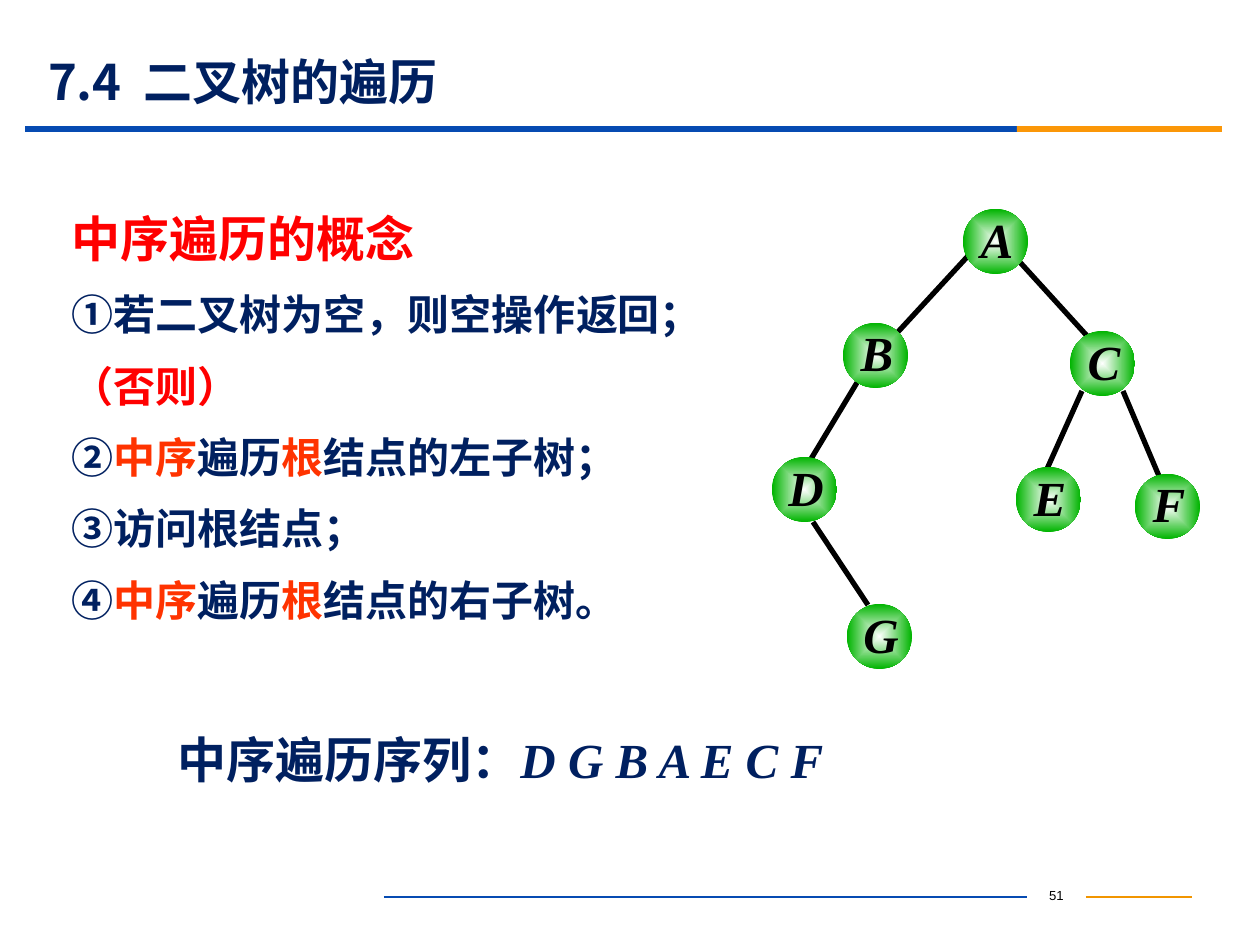
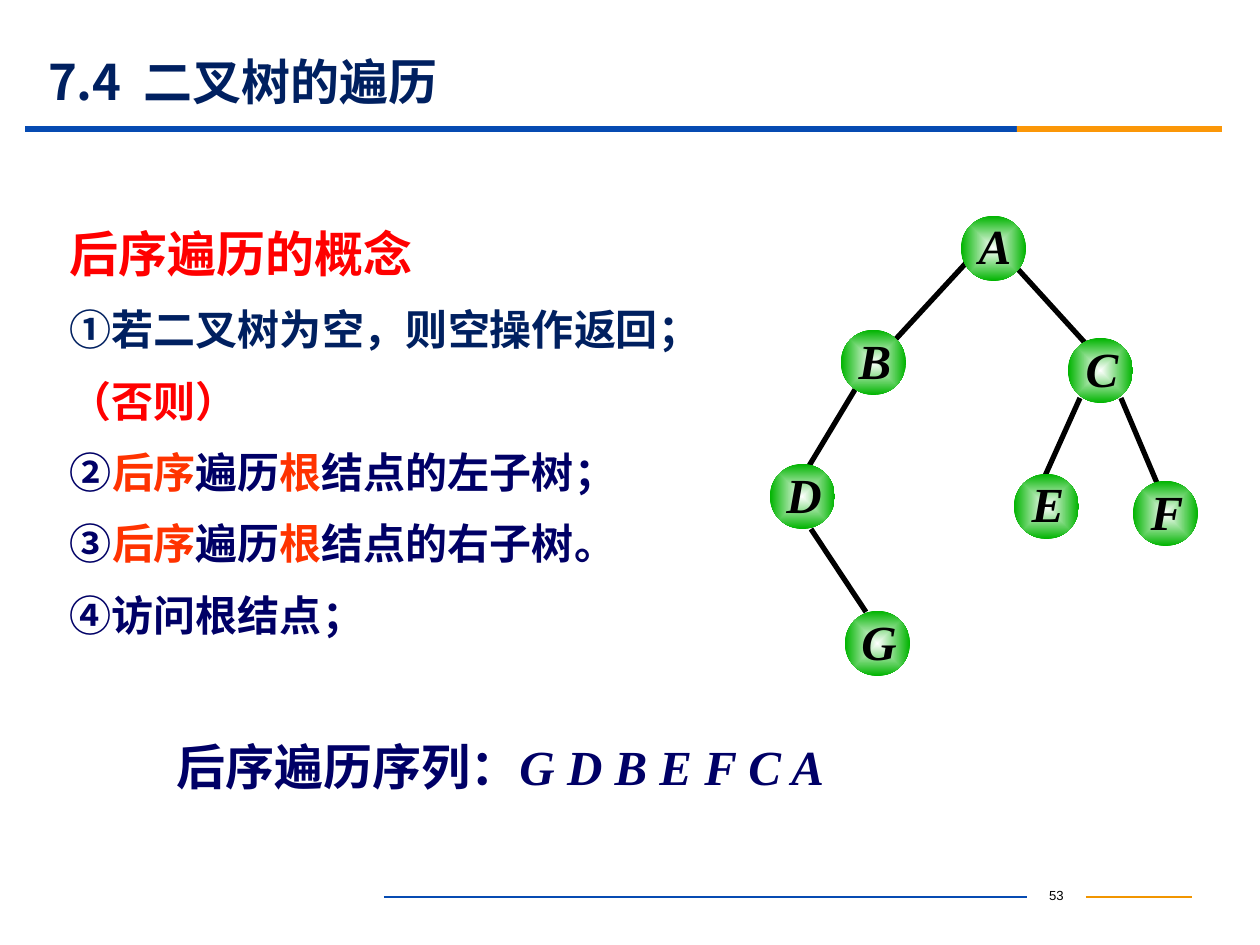
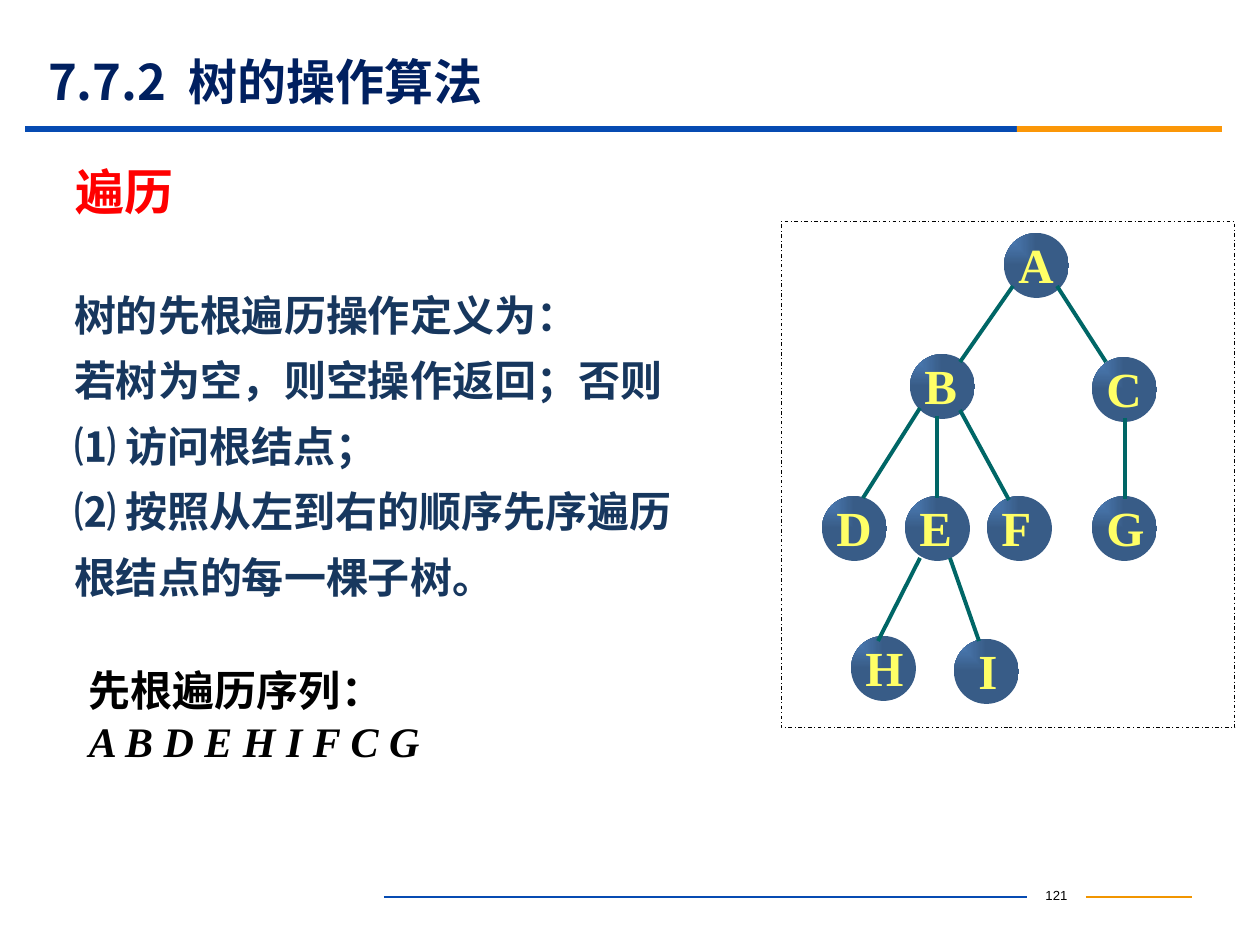
"""Build three slides on traversing binary trees and general trees."""
from pptx import Presentation
from pptx import util as u
from pptx.dml.color import RGBColor
from pptx.enum import dml, shapes, text
from pptx.oxml import parse_xml
from pptx.oxml.ns import nsdecls, qn

SCALE = 914400 / 126
COLORS = {
    "navy": "002060", "indigo": "000066", "slate": "17375E", "red": "FF0000",
    "orange": "FF3300", "black": "000000", "yellow": "FFFF66", "teal": "006666",
    "band": "064BB2", "accent": "FB9708", "footer accent": "F19500",
    "white": "FFFFFF", "green": "00B400", "steel": "4F81BD",
}
SERIF, SANS = "Times New Roman", "Noto Sans CJK SC"
NODE = 65
LEFT, JUSTIFY, CENTER = text.PP_ALIGN.LEFT, text.PP_ALIGN.JUSTIFY, text.PP_ALIGN.CENTER

BANDS = [((25, 126, 992, 6), "band"), ((1017, 126, 205, 6), "accent")]
TITLE_BOX = (35, 54, 1134, 54)
NUMBER_BOX = (1027, 881, 59, 32)

BINARY_NODES = {
    "A": (963, 209), "B": (843, 323), "C": (1070, 331), "D": (772, 457),
    "E": (1016, 467), "F": (1135, 474), "G": (847, 604),
}
BINARY_EDGES = [
    (968, 256, 897, 333), (1018, 260, 1089, 338), (858, 381, 811, 459),
    (813, 522, 868, 605), (1082, 391, 1047, 469), (1123, 391, 1159, 476),
]
TREE_NODES = {
    "A": (1004, 233), "C": (1092, 357), "B": (910, 354), "G": (1092, 496),
    "F": (987, 496), "E": (905, 496), "D": (822, 496), "H": (851, 636), "I": (954, 639),
}
TREE_EDGES = [
    (1013, 286, 960, 362), (1057, 286, 1106, 362), (1125, 418, 1125, 499),
    (937, 416, 937, 498), (960, 410, 1009, 500), (950, 558, 979, 641),
    (920, 408, 863, 498), (920, 558, 878, 641),
]
TREE_FRAME = (781, 222, 454, 506)


def visit_subtree(mark, order, side, end, color):
    return [(mark, color), (order, "orange"), ("遍历", color), ("根", "orange"),
            (f"结点的{side}子树{end}", color)]


BINARY_SLIDES = [
    {
        "number": "51", "order": "中序", "color": "navy", "sequence": "D G B A E C F",
        "heading font": SERIF,
        "body": (72, 203, 690, 454), "sequence box": (165, 724, 706, 72), "shift": (0, 0),
        "steps": [visit_subtree("②", "中序", "左", "；", "navy"),
                  [("③访问根结点；", "navy")],
                  visit_subtree("④", "中序", "右", "。", "navy")],
    },
    {
        "number": "53", "order": "后序", "color": "indigo", "sequence": "G D B E F C A",
        "heading font": SANS,
        "body": (70, 218, 697, 454), "sequence box": (164, 731, 706, 72), "shift": (-2, 7),
        "steps": [visit_subtree("②", "后序", "左", "；", "indigo"),
                  visit_subtree("③", "后序", "右", "。", "indigo"),
                  [("④访问根结点；", "indigo")]],
    },
]
TREE_RULES = [
    "树的先根遍历操作定义为：",
    "若树为空，则空操作返回；否则",
    "⑴ 访问根结点；",
    "⑵ 按照从左到右的顺序先序遍历根结点的每一棵子树。",
]


def px(value):
    return u.Emu(round(value * SCALE))


def rgb(name):
    return RGBColor.from_string(COLORS[name])


def place(shape, box):
    shape.left, shape.top, shape.width, shape.height = map(px, box)


def write(shape, paragraphs, size=24, font=SERIF, heading_size=None, heading_font=None,
          bold=True, italic=False, align=JUSTIFY, spacing=None, before=0,
          insets=(13, 6, 13, 6), anchor=text.MSO_ANCHOR.TOP, wrap=True):
    """Fill a shape with paragraphs, each a list of (text, colour[, italic]) runs."""
    frame = shape.text_frame
    frame.auto_size = text.MSO_AUTO_SIZE.NONE
    frame.word_wrap = wrap
    frame.vertical_anchor = anchor
    frame.margin_left, frame.margin_top, frame.margin_right, frame.margin_bottom = map(px, insets)
    for index, runs in enumerate(paragraphs):
        paragraph = frame.paragraphs[0] if index == 0 else frame.add_paragraph()
        first = index == 0
        points = heading_size if first and heading_size else size
        paragraph.alignment = align
        paragraph.space_before = u.Pt(before if index else 0)
        if spacing:
            paragraph.line_spacing = spacing if spacing < 1 else u.Pt(points * spacing)
        for content, color, *slant in runs:
            run = paragraph.add_run()
            run.text = content
            run.font.size = u.Pt(points)
            run.font.name = heading_font if first and heading_font else font
            run.font.bold = bold
            run.font.italic = bool(slant) or italic
            run.font.color.rgb = rgb(color)
    for latin in list(shape.element.iter(qn("a:latin"))):
        latin.addnext(parse_xml(f'<a:ea {nsdecls("a")} typeface="{SANS}"/>'))


def add_text(canvas, box, paragraphs, **style):
    shape = canvas.add_textbox(*map(px, box))
    write(shape, paragraphs, **style)
    return shape


def add_shape(canvas, kind, box, fill=None):
    shape = canvas.add_shape(kind, *map(px, box))
    shape.shadow.inherit = False
    shape.line.fill.background()
    if fill:
        shape.fill.solid()
        shape.fill.fore_color.rgb = rgb(fill)
    else:
        shape.fill.background()
    return shape


def add_line(canvas, ends, color, width):
    line = canvas.add_connector(shapes.MSO_CONNECTOR.STRAIGHT, *map(px, ends))
    line.line.color.rgb = rgb(color)
    line.line.width = u.Pt(width)
    line.element.spPr.append(parse_xml(f'<a:effectLst {nsdecls("a")}/>'))
    return line


def add_node(canvas, left, top, start, end, focus, route, shade=""):
    """Draw a circle with a path gradient running from start to end colour."""
    node = add_shape(canvas, shapes.MSO_SHAPE.OVAL, (left, top, NODE, NODE))
    properties = node.element.spPr
    sides = " ".join(f'{side}="{value * 1000}"' for side, value in zip("ltrb", focus))
    gradient = parse_xml(
        f'<a:gradFill {nsdecls("a")} rotWithShape="1"><a:gsLst>'
        f'<a:gs pos="0"><a:srgbClr val="{COLORS[start]}"/></a:gs>'
        f'<a:gs pos="100000"><a:srgbClr val="{COLORS[end]}">{shade}</a:srgbClr></a:gs>'
        f'</a:gsLst><a:path path="{route}"><a:fillToRect {sides}/></a:path></a:gradFill>')
    properties.replace(properties.find(qn("a:noFill")), gradient)
    return node


def write_list(body, box, paragraphs, **style):
    place(body, box)
    write(body, paragraphs, insets=(0, 6, 0, 6), **style)
    for properties in body.element.iter(qn("a:pPr")):
        properties.set("marL", "0")
        properties.set("indent", "0")
        properties.append(parse_xml(f'<a:buNone {nsdecls("a")}/>'))


def prepare_layout(presentation):
    """Keep only title and body on the layout and give it the header bands."""
    layout = presentation.slide_layouts[1]
    for placeholder in list(layout.placeholders):
        if placeholder.placeholder_format.idx >= 10:
            placeholder.element.getparent().remove(placeholder.element)
    return layout


def add_bands(slide):
    tree = slide.slide_layout.element.cSld.spTree
    for box, color in BANDS:
        tree.append(add_shape(slide.shapes, shapes.MSO_SHAPE.RECTANGLE, box, color).element)


def start_slide(presentation, layout, title, number):
    slide = presentation.slides.add_slide(layout)
    if len(presentation.slides) == 1:
        add_bands(slide)
    place(slide.shapes.title, TITLE_BOX)
    write(slide.shapes.title, [[(title, "navy")]], size=28, font=SANS, align=LEFT,
          anchor=text.MSO_ANCHOR.MIDDLE)
    page = add_text(slide.shapes, NUMBER_BOX, [[(number, "black")]], size=7.5,
                    font="Arial", bold=False, align=CENTER)
    left_rule = add_line(slide.shapes, (384, 897, 1027, 897), "band", 0.75)
    left_rule.end_connect(page, 1)
    right_rule = add_line(slide.shapes, (1086, 897, 1192, 897), "footer accent", 0.75)
    right_rule.begin_connect(page, 3)
    return slide


def draw_binary_tree(slide, shift):
    canvas = slide.shapes.add_group_shape().shapes
    dx, dy = shift
    for x1, y1, x2, y2 in BINARY_EDGES:
        add_line(canvas, (x1 + dx, y1 + dy, x2 + dx, y2 + dy), "black", 3)
    for name, (x, y) in BINARY_NODES.items():
        left, top = x + dx, y + dy
        add_node(canvas, left, top, "white", "green", (50, 50, 50, 50), "shape")
        add_text(canvas, (left + 7, top - 5, 54, 84), [[(name, "black")]], size=28,
                 italic=True, align=CENTER, insets=(0, 5, 0, 0))


def draw_tree(slide):
    canvas = slide.shapes.add_group_shape().shapes
    frame = add_shape(canvas, shapes.MSO_SHAPE.RECTANGLE, TREE_FRAME)
    frame.line.color.rgb = rgb("black")
    frame.line.width = u.Pt(0.5)
    frame.line.dash_style = dml.MSO_LINE.DASH_DOT
    for name, (left, top) in TREE_NODES.items():
        node = add_node(canvas, left, top, "steel", "steel", (0, 0, 100, 100), "rect",
                        '<a:shade val="46275"/>')
        write(node, [[(name, "yellow")]], size=28, align=LEFT, spacing=0.8,
              insets=(15 if name == "I" else 5, 3, 5, 5))
    for ends in TREE_EDGES:
        add_line(canvas, ends, "teal", 2.25)


def build_binary_slide(presentation, layout, content):
    slide = start_slide(presentation, layout, "7.4  二叉树的遍历", content["number"])
    order, color = content["order"], content["color"]
    paragraphs = [[(f"{order}遍历的概念", "red")],
                  [("①若二叉树为空，则空操作返回；", "navy")],
                  [("（否则）", "red")]] + content["steps"]
    write_list(slide.placeholders[1], content["body"], paragraphs, heading_size=28,
               heading_font=content["heading font"], spacing=1.2, before=12)
    add_text(slide.shapes, content["sequence box"],
             [[(f"{order}遍历序列：", color), (content["sequence"], color, True)]],
             size=28, spacing=1.2)
    draw_binary_tree(slide, content["shift"])


def build_tree_slide(presentation, layout):
    slide = start_slide(presentation, layout, "7.7.2  树的操作算法", "121")
    add_text(slide.shapes, (63, 156, 1134, 81), [[("遍历", "red")]], size=28,
             align=LEFT, spacing=1.2)
    write_list(slide.placeholders[1], (74, 268, 609, 344),
               [[(rule, "slate")] for rule in TREE_RULES], font=SANS, align=LEFT, spacing=1.56)
    add_text(slide.shapes, (76, 659, 597, 113),
             [[("先根遍历序列：", "black")], [("A B D E H I F C G", "black", True)]], spacing=1.2)
    draw_tree(slide)


def main():
    presentation = Presentation()
    presentation.slide_width, presentation.slide_height = px(1260), px(945)
    layout = prepare_layout(presentation)
    for content in BINARY_SLIDES:
        build_binary_slide(presentation, layout, content)
    build_tree_slide(presentation, layout)
    presentation.save("out.pptx")


if __name__ == "__main__":
    main()
